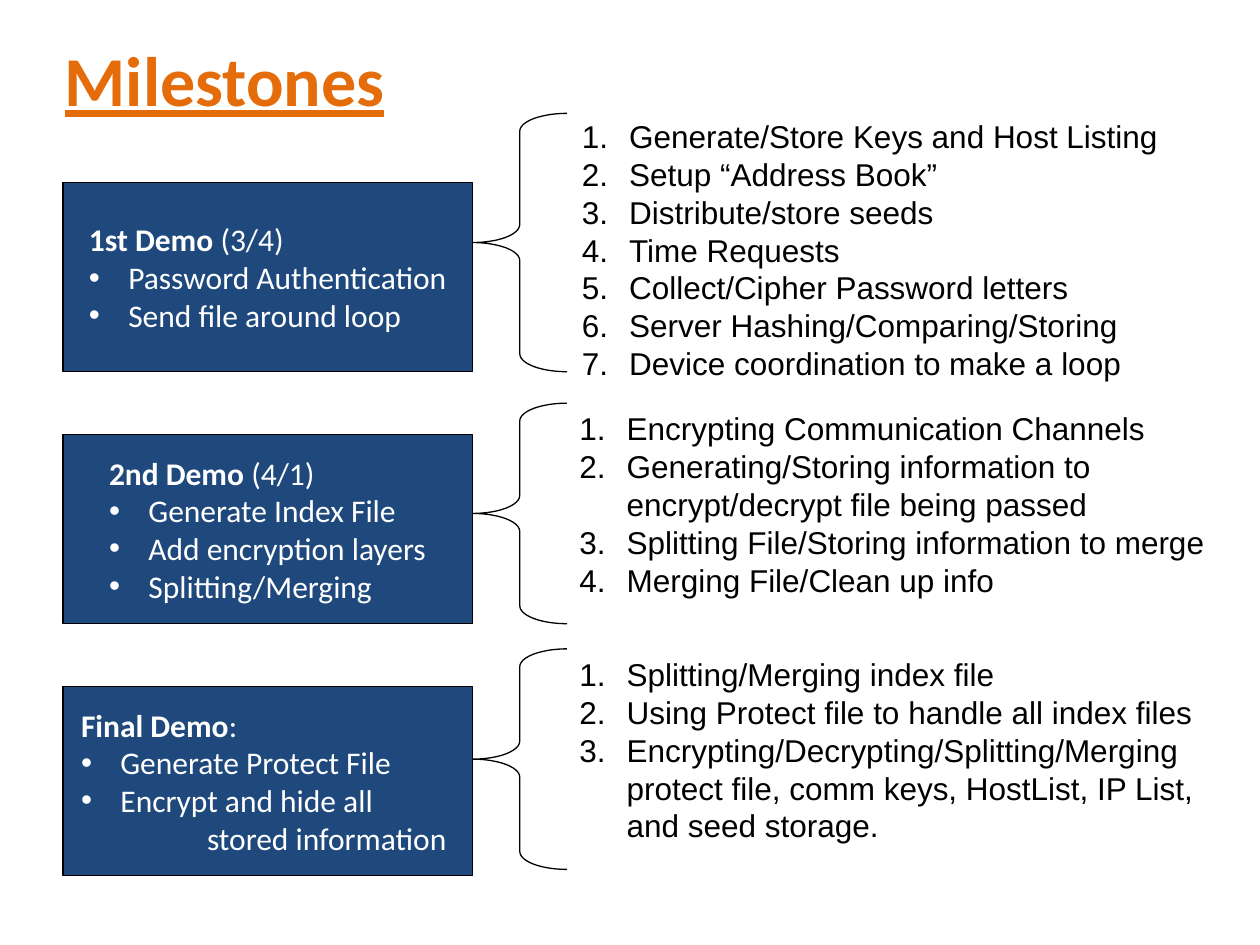
from lxml import etree
from pptx import Presentation
from pptx.dml.color import RGBColor
from pptx.enum import shapes, text
from pptx.oxml.ns import qn
from pptx.util import Pt

HUES = {"navy": "1F497D", "orange": "E46C0A", "white": "FFFFFF", "black": "000000"}


def hue(name):
    return RGBColor.from_string(HUES[name])


def style(para, font, color, indent=0, hang=0, mark=None):
    """Set the list mark, indent, line pitch and font of one paragraph."""
    props = para._p.get_or_add_pPr()
    props.set("marL", str(Pt(indent)))
    props.set("indent", str(Pt(-hang)))
    para.alignment = text.PP_ALIGN.LEFT
    para.line_spacing = Pt(21.6)
    if mark:
        tag, key, value = mark
        etree.SubElement(props, qn("a:buFont")).set("typeface", "Arial")
        etree.SubElement(props, qn(tag)).set(key, value)
    para.font.name = font
    para.font.size = Pt(18)
    para.font.color.rgb = hue(color)


BULLET = ("a:buChar", "char", "•")
NUMBER = ("a:buAutoNum", "type", "arabicPeriod")

# Each demo: name, date, bullets, tail line, text inset,
# brace top and height, list left and top, tasks
demos = [
    ("1st Demo ", "(3/4)", ["Password Authentication", "Send file around loop"],
     None, 14.8, 64.8, 147.6, 325.4, 63.4,
     ["Generate/Store Keys and Host Listing", "Setup “Address Book”",
      "Distribute/store seeds", "Time Requests",
      "Collect/Cipher Password letters", "Server Hashing/Comparing/Storing",
      "Device coordination to make a loop"]),
    ("2nd Demo ", "(4/1)",
     ["Generate Index File", "Add encryption layers", "Splitting/Merging"],
     None, 26.3, 230.4, 126, 324, 230.4,
     ["Encrypting Communication Channels",
      "Generating/Storing information to encrypt/decrypt file being passed",
      "Splitting File/Storing information to merge",
      "Merging File/Clean up info"]),
    ("Final Demo", ":", ["Generate Protect File", "Encrypt and hide all"],
     "stored information", 10.3, 370.8, 126, 324, 370.8,
     ["Splitting/Merging index file",
      "Using Protect file to handle all index files",
      "Encrypting/Decrypting/Splitting/Merging protect file, comm keys, "
      "HostList, IP List, and seed storage."]),
]

deck = Presentation()
deck.slide_width, deck.slide_height = Pt(720), Pt(540)
slide = deck.slides.add_slide(deck.slide_layouts[6])

title = slide.shapes.add_textbox(Pt(30), Pt(0), Pt(648), Pt(90)).text_frame
title.word_wrap = True
title.vertical_anchor = text.MSO_ANCHOR.MIDDLE
head = title.paragraphs[0]
head.text = "Milestones"
head.font.name, head.font.size = "Calibri", Pt(40)
head.font.bold = head.font.underline = True
head.font.color.rgb = hue("orange")

for row, demo in enumerate(demos):
    name, date, points, tail, inset, top, height, left, start, tasks = demo

    box = slide.shapes.add_shape(shapes.MSO_SHAPE.RECTANGLE,
                                 Pt(36), Pt(104.4 + 144 * row), Pt(234), Pt(108))
    box.fill.solid()
    box.fill.fore_color.rgb = hue("navy")
    frame = box.text_frame
    frame.word_wrap = True
    frame.vertical_anchor = text.MSO_ANCHOR.MIDDLE
    frame.margin_left, frame.margin_right = Pt(inset), Pt(0)
    para = frame.paragraphs[0]
    style(para, "Calibri", "white")
    run = para.add_run()
    run.text, run.font.bold = name, True
    para.add_run().text = date
    for point in points:
        para = frame.add_paragraph()
        para.text = point
        style(para, "Calibri", "white", 22.5, 22.5, BULLET)
    if tail:
        para = frame.add_paragraph()
        para.text = tail
        style(para, "Calibri", "white", 72)

    brace = slide.shapes.add_shape(shapes.MSO_SHAPE.LEFT_BRACE,
                                   Pt(270), Pt(top), Pt(54), Pt(height))
    brace.adjustments[0] = 0.19
    brace.fill.background()
    for shape in (box, brace):
        shape.line.color.rgb = hue("black")
        shape.line.width = Pt(0.75)
        shape.shadow.inherit = False

    frame = slide.shapes.add_textbox(Pt(left), Pt(start), Pt(720 - left),
                                     Pt(147.6)).text_frame
    frame.word_wrap = True
    for index, task in enumerate(tasks):
        para = frame.add_paragraph() if index else frame.paragraphs[0]
        para.text = task
        style(para, "Arial", "black", 27, 27, NUMBER)

deck.save("out.pptx")
